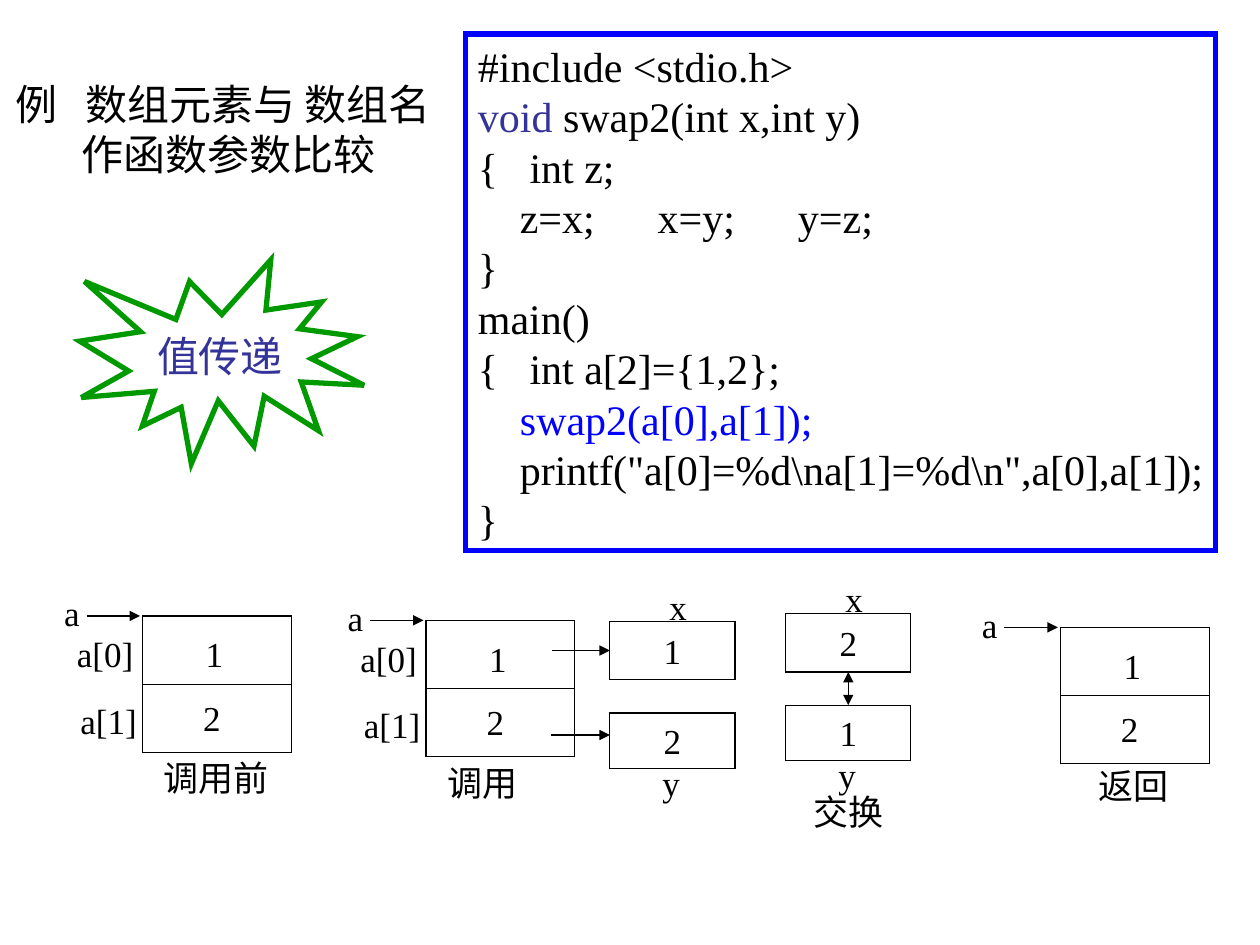
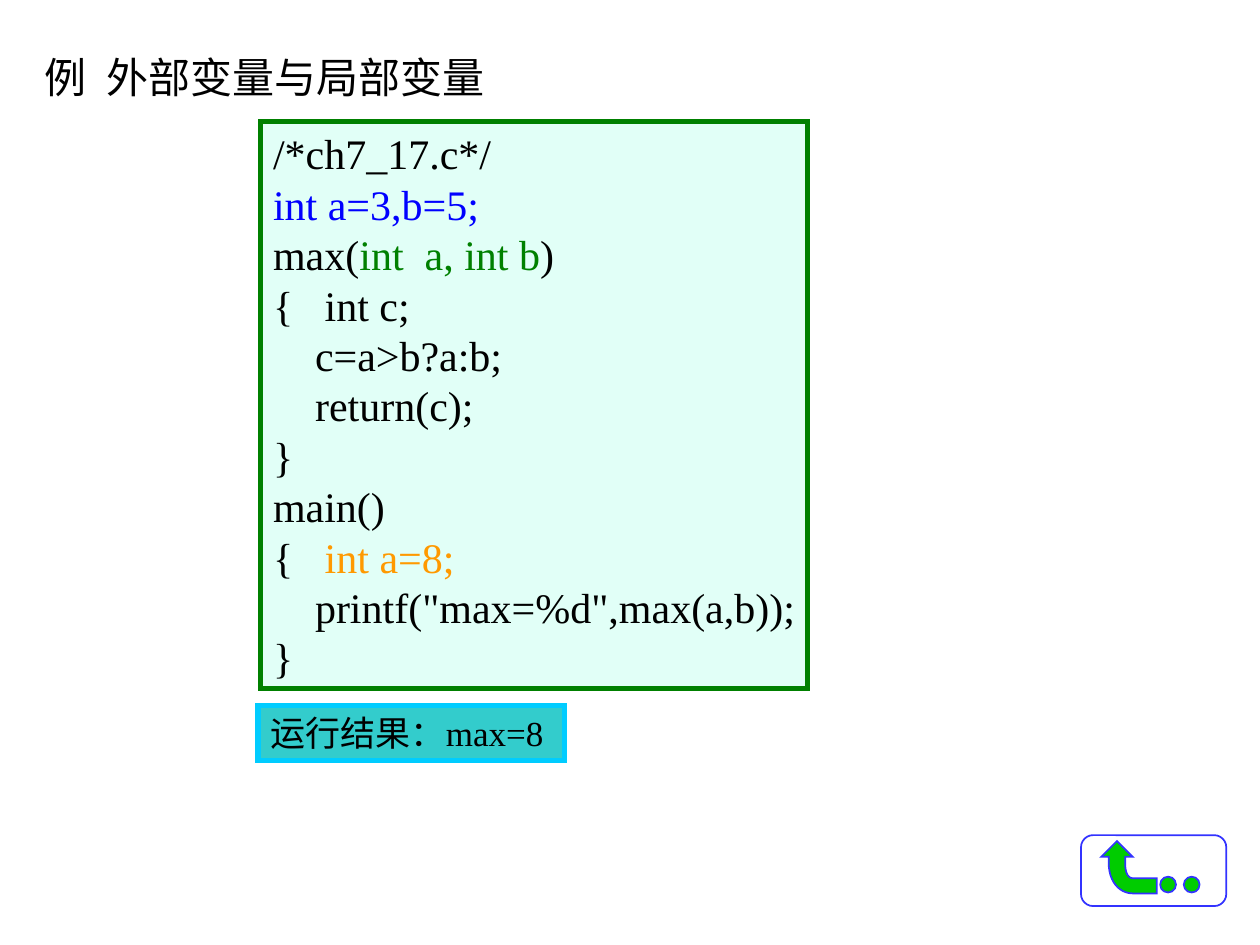
from pptx import Presentation
from pptx.dml.color import RGBColor
from pptx.enum.shapes import MSO_CONNECTOR, MSO_SHAPE
from pptx.enum.text import MSO_ANCHOR, MSO_AUTO_SIZE, PP_ALIGN
from pptx.oxml.ns import qn
from pptx.util import Pt
from lxml import etree

# Shared style
FONT = "Times New Roman"
CODE_SIZE, LABEL_SIZE = 24, 20
LABEL_HEIGHT = 31.5
BLACK = RGBColor(0x00, 0x00, 0x00)
WHITE = RGBColor(0xFF, 0xFF, 0xFF)
BLUE = RGBColor(0x00, 0x00, 0xFF)
INDIGO = RGBColor(0x33, 0x33, 0x99)
GREEN = RGBColor(0x00, 0x80, 0x00)
BURST_GREEN = RGBColor(0x00, 0x99, 0x00)
ORANGE = RGBColor(0xFF, 0x99, 0x00)
MINT = RGBColor(0xE1, 0xFF, 0xF7)
TEAL = RGBColor(0x33, 0xCC, 0xCC)
SKY = RGBColor(0x00, 0xCC, 0xFF)
BUTTON_BLUE = RGBColor(0x33, 0x33, 0xFF)
BUTTON_GREEN = RGBColor(0x00, 0xCC, 0x00)

SWAP_CODE = [
    "#include <stdio.h>",
    [("void", INDIGO), (" swap2(int x,int y)", BLACK)],
    "{   int z;",
    "    z=x;      x=y;      y=z;",
    "}",
    "main()",
    "{   int a[2]={1,2};",
    [("    ", BLACK), ("swap2(a[0],a[1]);", BLUE)],
    '    printf("a[0]=%d\\na[1]=%d\\n",a[0],a[1]);',
    "}",
]
MAX_CODE = [
    "/*ch7_17.c*/",
    [("int a=3,b=5;", BLUE)],
    [("max(", BLACK), ("int  a, int b", GREEN), (")", BLACK)],
    "{   int c;",
    "    c=a>b?a:b;",
    "    return(c);",
    "}",
    "main()",
    [("{   ", BLACK), ("int a=8;", ORANGE)],
    '    printf("max=%d",max(a,b));',
    "}",
]


def box(left, top, width, height):
    return Pt(left), Pt(top), Pt(width), Pt(height)


def write(frame, lines, size, align=PP_ALIGN.LEFT, anchor=MSO_ANCHOR.TOP):
    """Fill a frame; a line is a string or a list of (text, colour) runs."""
    frame.word_wrap = False
    frame.vertical_anchor = anchor
    for index, line in enumerate(lines):
        paragraph = frame.paragraphs[0] if index == 0 else frame.add_paragraph()
        paragraph.alignment = align
        for text, colour in [(line, BLACK)] if isinstance(line, str) else line:
            run = paragraph.add_run()
            run.text = text
            run.font.name = FONT
            run.font.size = Pt(size)
            run.font.color.rgb = colour


def paint(shape, fill, outline, weight):
    shape.shadow.inherit = False
    if fill is None:
        shape.fill.background()
    else:
        shape.fill.solid()
        shape.fill.fore_color.rgb = fill
    shape.line.color.rgb = outline
    shape.line.width = Pt(weight)
    # Sharp corners
    border = shape._element.spPr.find(qn("a:ln"))
    etree.SubElement(border, qn("a:miter")).set("lim", "800000")


def add_panel(slide, kind, area, fill=WHITE, outline=BLACK, weight=0.75):
    panel = slide.shapes.add_shape(kind, *box(*area))
    paint(panel, fill, outline, weight)
    return panel


def add_title(slide, area, lines, indents):
    """Each indent is (left margin, first-line offset)."""
    title = slide.shapes.title
    title.left, title.top, title.width, title.height = box(*area)
    frame = title.text_frame
    write(frame, lines, CODE_SIZE)
    frame.word_wrap = True
    frame.auto_size = MSO_AUTO_SIZE.NONE
    frame.margin_right = 0
    for paragraph, (margin, first) in zip(frame.paragraphs, indents):
        properties = paragraph._p.get_or_add_pPr()
        properties.set("marL", str(Pt(margin)))
        properties.set("indent", str(Pt(first)))


def add_code(slide, area, lines, fill, outline, size=CODE_SIZE):
    """A framed listing; no right inset, so that its longest line fits."""
    panel = add_panel(slide, MSO_SHAPE.RECTANGLE, area, fill, outline, 3)
    frame = panel.text_frame
    write(frame, lines, size)
    frame.word_wrap = True
    frame.margin_right = 0
    frame.auto_size = MSO_AUTO_SIZE.NONE


def add_label(slide, left, top, width, text):
    label = slide.shapes.add_textbox(*box(left, top, width, LABEL_HEIGHT))
    write(label.text_frame, [text], LABEL_SIZE)


def add_caption(slide, left, top, text):
    add_label(slide, left, top, len(text) * LABEL_SIZE + 14.4, text)


def add_line(slide, start, end, heads=()):
    """Heads may hold headEnd and tailEnd."""
    line = slide.shapes.add_connector(
        MSO_CONNECTOR.STRAIGHT, Pt(start[0]), Pt(start[1]), Pt(end[0]), Pt(end[1]))
    line.line.color.rgb = BLACK
    line.line.width = Pt(0.75)
    properties = line._element.spPr
    outline = properties.find(qn("a:ln"))
    for head in heads:
        etree.SubElement(outline, qn(f"a:{head}")).set("type", "triangle")
    etree.SubElement(properties, qn("a:effectLst"))
    return line


def add_array(slide, x, y, names=("a[0]", "a[1]")):
    """Two stacked cells holding 1 and 2, with the pointer a."""
    width, height = 85, 78
    cells = add_panel(slide, MSO_SHAPE.RECTANGLE, (x, y, width, height))
    divider = add_line(slide, (x, y + height / 2), (x + width, y + height / 2))
    divider.begin_connect(cells, 1)
    divider.end_connect(cells, 3)
    add_label(slide, x + 29, y + 6, 24.5, "1")
    add_label(slide, x + 27.5, y + 42.5, 24.5, "2")
    add_label(slide, x - 52, y - 17.3, 23, "a")
    add_line(slide, (x - 32, y), (x - 1.5, y), ["tailEnd"])
    for row, name in enumerate(names):
        add_label(slide, x - 44.6 + 2 * row, y + 6 + 38 * row, 47, name)


def add_parameters(slide, x, y, values):
    """Boxes for the parameters x and y; returns both."""
    boxes = []
    for value, top, height in zip(values, (y, y + 52.5), (33.5, 31.5)):
        cell = add_panel(slide, MSO_SHAPE.RECTANGLE, (x, top, 71.5, height))
        write(cell.text_frame, [value], LABEL_SIZE, PP_ALIGN.CENTER, MSO_ANCHOR.MIDDLE)
        boxes.append(cell)
    add_label(slide, x + 27, y - 24, 24.5, "x")
    add_label(slide, x + 23, y + 76.5, 24.5, "y")
    return boxes


def curve(start, control_1, control_2, end, steps=12):
    """Points of a cubic curve after its start."""
    points = []
    for step in range(1, steps + 1):
        t = step / steps
        weights = ((1 - t) ** 3, 3 * t * (1 - t) ** 2, 3 * t * t * (1 - t), t ** 3)
        corners = (start, control_1, control_2, end)
        points.append(tuple(sum(w * c[axis] for w, c in zip(weights, corners))
                            for axis in (0, 1)))
    return points


def add_return_button(slide):
    frame = add_panel(slide, MSO_SHAPE.ROUNDED_RECTANGLE, (617.75, 477.25, 83, 40.5),
                      None, BUTTON_BLUE, 1)
    frame.adjustments[0] = 0.17
    # Bent arrow
    outline = [(647.3, 510.5)]
    outline += curve(outline[-1], (639.4, 510.5), (633.6, 503.3), (633.6, 493.2))
    outline += [(633.6, 489.6), (629.3, 489.6), (638.3, 480.6), (647.3, 489.6),
                (643, 489.6), (643, 493.2)]
    outline += curve(outline[-1], (643, 498.2), (644.4, 501.8), (647.3, 501.8))
    outline += [(661, 501.8)]
    builder = slide.shapes.build_freeform(Pt(661), Pt(510.5))
    builder.add_line_segments([(Pt(x), Pt(y)) for x, y in outline], close=True)
    paint(builder.convert_to_shape(), BUTTON_GREEN, BUTTON_BLUE, 1)
    # Trailing dots
    for left in (663, 676.5):
        add_panel(slide, MSO_SHAPE.OVAL, (left, 501, 9, 9), BUTTON_GREEN, BUTTON_BLUE, 1)


def build_swap_slide(slide):
    add_title(slide, (1.5, 41, 252, 65),
              ["例\t数组元素与 数组名", "作函数参数比较"], [(40, -40), (38, 0)])

    # Before the call
    add_array(slide, 81.5, 352)
    add_caption(slide, 86.5, 429, "调用前")

    # Call: elements are copied into the parameters
    add_array(slide, 243.5, 354.5)
    add_caption(slide, 248.5, 431.5, "调用")
    x_box, _ = add_parameters(slide, 348.5, 355, "12")
    copy_first = add_line(slide, (315.5, 371.75), (348.5, 371.75), ["tailEnd"])
    copy_first.end_connect(x_box, 1)
    add_line(slide, (315, 420), (348.5, 420), ["tailEnd"])

    # Exchange of the parameters
    x_box, y_box = add_parameters(slide, 449, 350.5, "21")
    exchange = add_line(slide, (485, 384), (485, 403), ["headEnd", "tailEnd"])
    exchange.begin_connect(x_box, 2)
    exchange.end_connect(y_box, 0)
    add_caption(slide, 458, 448, "交换")

    # Return
    add_array(slide, 606, 358.5, names=())
    add_caption(slide, 620.5, 433.5, "返回")

    # Program and remark
    add_code(slide, (266, 19.5, 428.5, 295), SWAP_CODE, WHITE, BLUE)
    burst = add_panel(slide, MSO_SHAPE.EXPLOSION1, (45.5, 148.5, 162.5, 116.5),
                      WHITE, BURST_GREEN, 3)
    write(burst.text_frame, [[("值传递", INDIGO)]], CODE_SIZE,
          PP_ALIGN.CENTER, MSO_ANCHOR.MIDDLE)


def build_scope_slide(slide):
    add_title(slide, (18.5, 26, 265, 36), ["例\t外部变量与局部变量"], [(35, -35)])
    add_code(slide, (149, 69.5, 312.5, 324), MAX_CODE, MINT, GREEN)
    add_code(slide, (147.5, 403, 175, LABEL_HEIGHT), ["运行结果：max=8"],
             TEAL, SKY, LABEL_SIZE)
    add_return_button(slide)


def main():
    deck = Presentation()
    deck.slide_width, deck.slide_height = Pt(720), Pt(540)
    title_only = deck.slide_layouts[5]
    for build in (build_swap_slide, build_scope_slide):
        build(deck.slides.add_slide(title_only))
    deck.save("out.pptx")


if __name__ == "__main__":
    main()
